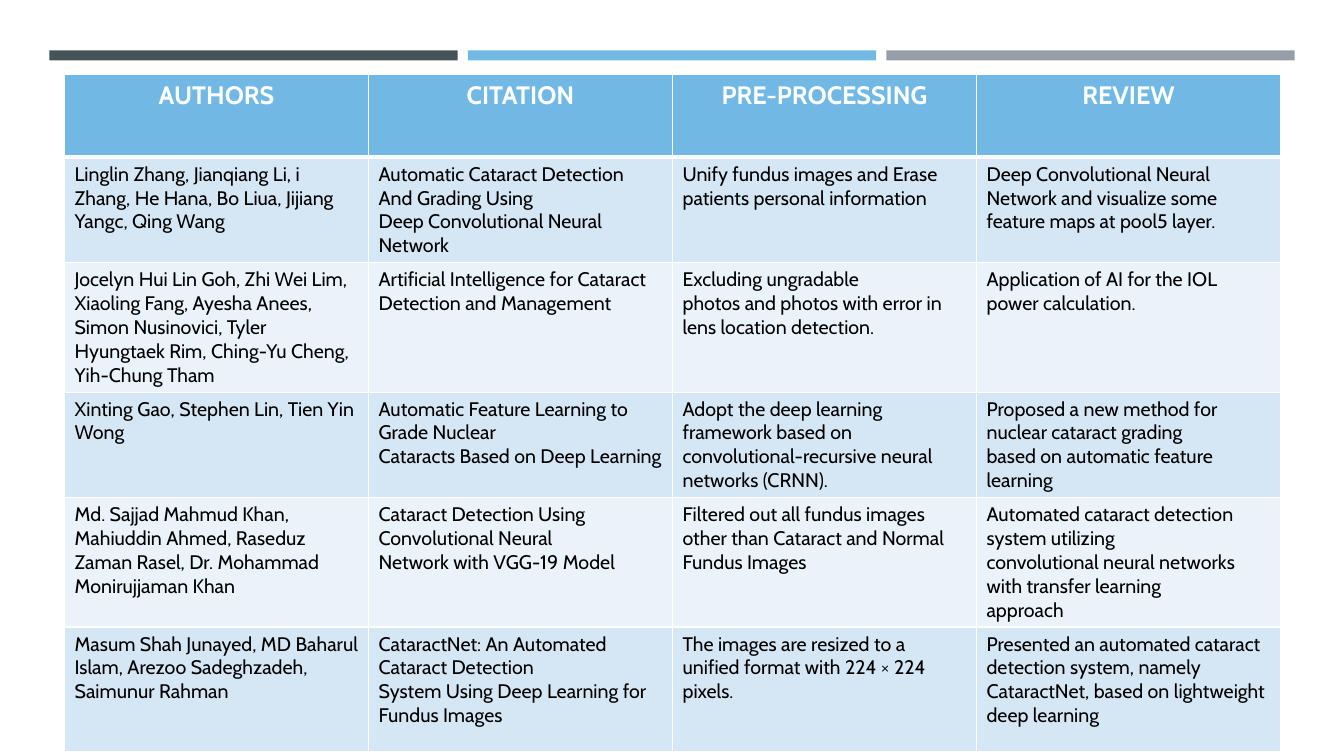
from dataclasses import dataclass

from lxml.etree import SubElement
from pptx import Presentation
from pptx.dml.color import RGBColor
from pptx.enum.shapes import MSO_SHAPE
from pptx.enum.text import PP_ALIGN
from pptx.oxml.ns import qn
from pptx.util import Inches, Pt


@dataclass(frozen=True)
class Theme:
    font: str = "Cabin"
    dark: str = "465359"
    blue: str = "71B9E4"
    grey: str = "969FA7"
    white: str = "FFFFFF"
    black: str = "000000"
    bands: tuple = ("D5E6F5", "EBF3FA")
    header_size: int = 18
    body_size: int = 14


THEME = Theme()

HEADERS = ["AUTHORS", "CITATION", "PRE-PROCESSING", "REVIEW"]
STUDIES = [
    [
        "Linglin Zhang, Jianqiang Li, i Zhang, He Hana, Bo Liua, Jijiang Yangc, Qing Wang",
        "Automatic Cataract Detection And Grading Using\nDeep Convolutional Neural Network",
        "Unify fundus images and Erase patients personal information",
        "Deep Convolutional Neural Network and visualize some feature maps at pool5 layer.",
    ],
    [
        "Jocelyn Hui Lin Goh, Zhi Wei Lim, Xiaoling Fang, Ayesha Anees, Simon Nusinovici, "
        "Tyler Hyungtaek Rim, Ching-Yu Cheng, Yih-Chung Tham",
        "Artificial Intelligence for Cataract Detection and Management",
        "Excluding ungradable\nphotos and photos with error in lens location detection.",
        "Application of AI for the IOL power calculation.",
    ],
    [
        "Xinting Gao, Stephen Lin, Tien Yin Wong",
        "Automatic Feature Learning to Grade Nuclear\nCataracts Based on Deep Learning",
        "Adopt the deep learning framework based on\n"
        "convolutional-recursive neural networks (CRNN).",
        "Proposed a new method for nuclear cataract grading\n"
        "based on automatic feature learning",
    ],
    [
        "Md. Sajjad Mahmud Khan, Mahiuddin Ahmed, Raseduz Zaman Rasel, "
        "Dr. Mohammad Monirujjaman Khan",
        "Cataract Detection Using Convolutional Neural\nNetwork with VGG-19 Model",
        "Filtered out all fundus images other than Cataract and Normal Fundus Images",
        "Automated cataract detection system utilizing\n"
        "convolutional neural networks with transfer learning\napproach",
    ],
    [
        "Masum Shah Junayed, MD Baharul Islam, Arezoo Sadeghzadeh, Saimunur Rahman",
        "CataractNet: An Automated Cataract Detection\n"
        "System Using Deep Learning for Fundus Images",
        "The images are resized to a\nunified format with 224 × 224 pixels.",
        "Presented an automated cataract detection system, namely CataractNet, "
        "based on lightweight deep learning",
    ],
]
ROW_HEIGHTS = [0.82, 1, 1.22, 1, 1.22, 1.24]


def rgb(color):
    return RGBColor.from_string(color)


def add_bar(page, left, color):
    bar = page.shapes.add_shape(
        MSO_SHAPE.RECTANGLE, Inches(left), Inches(0.5), Inches(4.05), Inches(0.1)
    )
    bar.shadow.inherit = False
    bar.fill.solid()
    bar.fill.fore_color.rgb = rgb(color)
    bar.line.fill.background()


def set_borders(cell, bottom_width):
    properties = cell._tc.get_or_add_tcPr()
    for side, width in (("L", 1), ("R", 1), ("T", 1), ("B", bottom_width)):
        line = SubElement(properties, qn(f"a:ln{side}"), w=str(Pt(width)))
        fill = SubElement(line, qn("a:solidFill"))
        SubElement(fill, qn("a:srgbClr"), val=THEME.white)


def fill_cell(cell, text, is_header, fill):
    set_borders(cell, 3 if is_header else 1)
    cell.fill.solid()
    cell.fill.fore_color.rgb = rgb(fill)
    cell.text = text
    for para in cell.text_frame.paragraphs:
        para.alignment = PP_ALIGN.CENTER if is_header else PP_ALIGN.LEFT
        para.font.name = THEME.font
        para.font.size = Pt(THEME.header_size if is_header else THEME.body_size)
        para.font.bold = is_header
        para.font.color.rgb = rgb(THEME.white if is_header else THEME.black)


def add_review_table(page):
    rows = [HEADERS, *STUDIES]
    table = page.shapes.add_table(
        len(rows), len(HEADERS), Inches(0.64), Inches(0.74),
        Inches(12.06), Inches(sum(ROW_HEIGHTS)),
    ).table
    for row_index, (texts, height) in enumerate(zip(rows, ROW_HEIGHTS)):
        table.rows[row_index].height = Inches(height)
        is_header = row_index == 0
        fill = THEME.blue if is_header else THEME.bands[(row_index - 1) % 2]
        for column_index, text in enumerate(texts):
            fill_cell(table.cell(row_index, column_index), text, is_header, fill)


def main():
    deck = Presentation()
    deck.slide_width = Inches(13.33)
    deck.slide_height = Inches(7.5)
    page = deck.slides.add_slide(deck.slide_layouts[6])
    for index, color in enumerate((THEME.dark, THEME.blue, THEME.grey)):
        add_bar(page, 0.49 + index * 4.15, color)
    add_review_table(page)
    deck.save("out.pptx")


if __name__ == "__main__":
    main()
